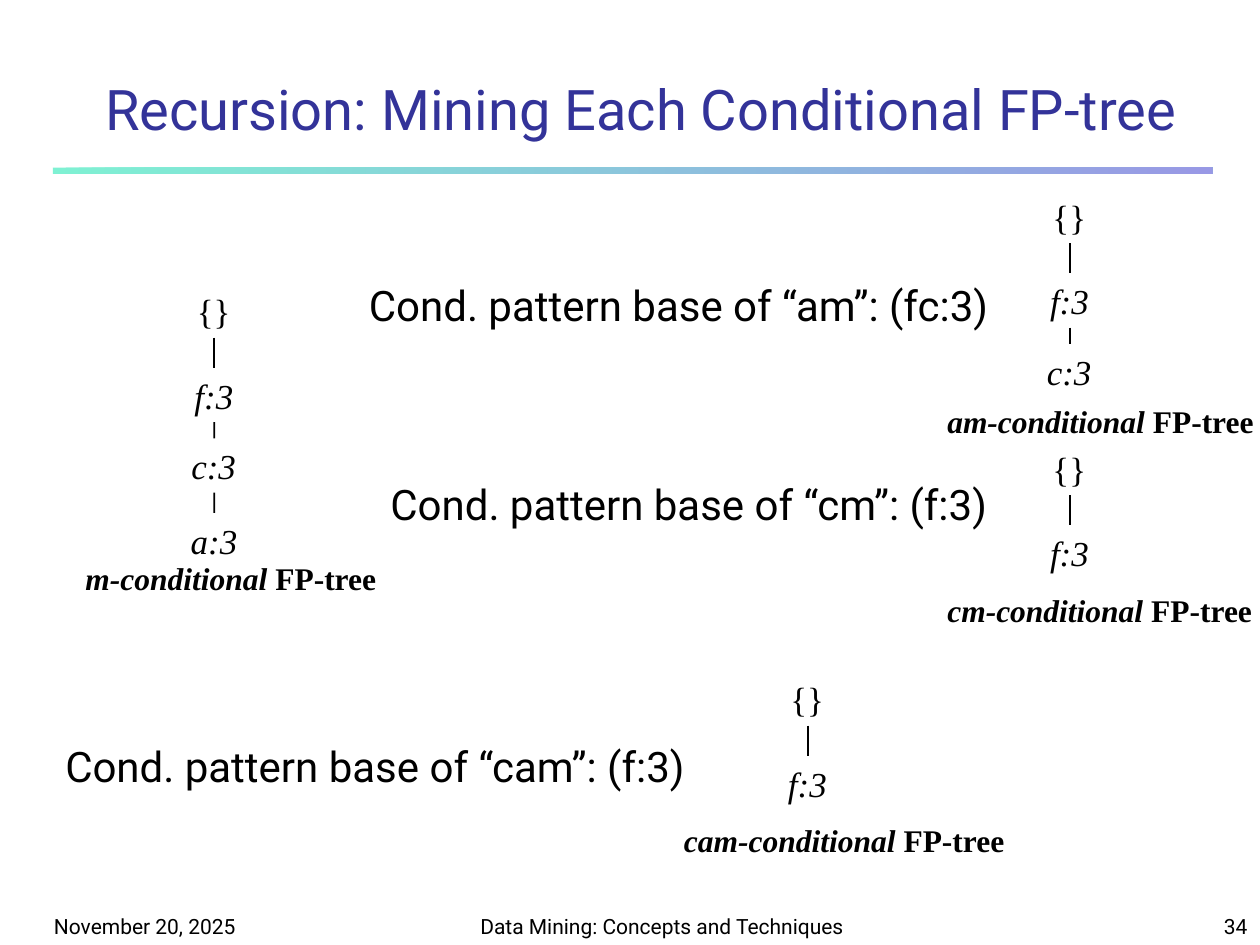
"""Build the slide on mining each conditional FP-tree."""
from lxml.etree import SubElement as Sub
from pptx import Presentation
from pptx.dml.color import RGBColor as Rgb
from pptx.enum.shapes import MSO_CONNECTOR as Link, MSO_SHAPE as Kind
from pptx.enum.text import MSO_ANCHOR as Anchor, MSO_AUTO_SIZE as Fit, PP_ALIGN as Align
from pptx.oxml.ns import qn
from pptx.util import Inches, Pt

INK = {"text": "000000", "title": "333399", "mint": "00E4A8", "blue": "3333CC"}
SANS, SERIF = "Roboto", "Times New Roman"


def add_text(home, box, runs, size, face, ink="text", align=Align.LEFT, fixed=False):
    shape = home.add_textbox(*map(Inches, box))
    frame = shape.text_frame
    frame.word_wrap = fixed
    frame.auto_size = Fit.NONE if fixed else Fit.SHAPE_TO_FIT_TEXT
    frame.vertical_anchor = Anchor.BOTTOM if fixed else Anchor.TOP
    para = frame.paragraphs[0]
    para.alignment = align
    for words, bold, slant in runs:
        run = para.add_run()
        run.text = words
        font = run.font
        font.name, font.size = face, Pt(size)
        font.bold, font.italic = bold, slant
        font.color.rgb = Rgb.from_string(INK[ink])
    return shape


def add_edge(home, top, low):
    mid = top.left + top.width // 2
    line = home.add_connector(Link.STRAIGHT, mid, top.top + top.height, mid, low.top)
    line.begin_connect(top, 2)
    line.end_connect(low, 0)
    line.line.width = Pt(1)
    line.line.color.rgb = Rgb.from_string(INK["text"])
    Sub(line._element.spPr, qn("a:effectLst"))


deck = Presentation()
deck.slide_width, deck.slide_height = Inches(10), Inches(7.5)
page = deck.slides.add_slide(deck.slide_layouts[6]).shapes

bar = page.add_shape(Kind.RECTANGLE, Inches(0.42), Inches(1.33), Inches(9.2), Inches(0.05))
bar.shadow.inherit = False
bar.line.fill.background()
bar.fill.gradient()
bar.fill.gradient_angle = 0
for stop, name, spot in zip(bar.fill.gradient_stops, ("mint", "blue"), (0, 1)):
    stop.color.rgb = Rgb.from_string(INK[name])
    stop.position = spot
for tint in bar._element.spPr.iter(qn("a:srgbClr")):
    Sub(tint, qn("a:alpha")).set("val", "50000")

feet = [
    (0.33, 2.08, "November 20, 2025", Align.LEFT),
    (3.67, 3.17, "Data Mining: Concepts and Techniques", Align.CENTER),
    (7.92, 2.08, "34", Align.RIGHT),
]
for left, wide, words, align in feet:
    add_text(page, (left, 7.08, wide, 0.42), [(words, False, False)], 12, SANS,
             align=align, fixed=True)

add_text(page, (0.42, 0.42, 9.34, 0.75),
         [("Recursion: Mining Each Conditional FP-tree", False, False)],
         32, SANS, "title", Align.CENTER, True)

bases = [
    (2.83, 2.17, 5.26, "“am”: (fc:3)"),
    (3, 3.75, 5.09, "“cm”: (f:3)"),
    (0.42, 5.83, 5.26, "“cam”: (f:3)"),
]
for left, top, wide, words in bases:
    add_text(page, (left, top, wide, 0.5),
             [("Cond. pattern base of " + words, False, False)], 24, SANS)

nodes = [("{}", 0, 0.47), ("f:3", 0.67, 0.51), ("c:3", 1.23, 0.56), ("a:3", 1.82, 0.57)]
trees = [
    ("m", 1.7, 2.25, 4, 0.58, 2.51, True),
    ("am", 8.49, 1.5, 3, 7.42, 2.64, True),
    ("cm", 8.49, 3.5, 2, 7.42, 2.62, False),
    ("cam", 6.41, 5.33, 2, 5.33, 2.75, False),
]
for name, mid, top, count, left, wide, group in trees:
    home = page.add_group_shape().shapes if group else page
    chain = [
        add_text(home, (mid - span / 2, top + drop, span, 0.43),
                 [(words, False, words != "{}")], 20, SERIF)
        for words, drop, span in nodes[:count]
    ]
    for high, low in zip(chain, chain[1:]):
        add_edge(home, high, low)
    add_text(home, (left, top + 0.14 + 0.5 * count, wide, 0.4),
             [(name + "-conditional ", True, True), ("FP-tree", True, False)], 18, SERIF)

deck.save("out.pptx")
